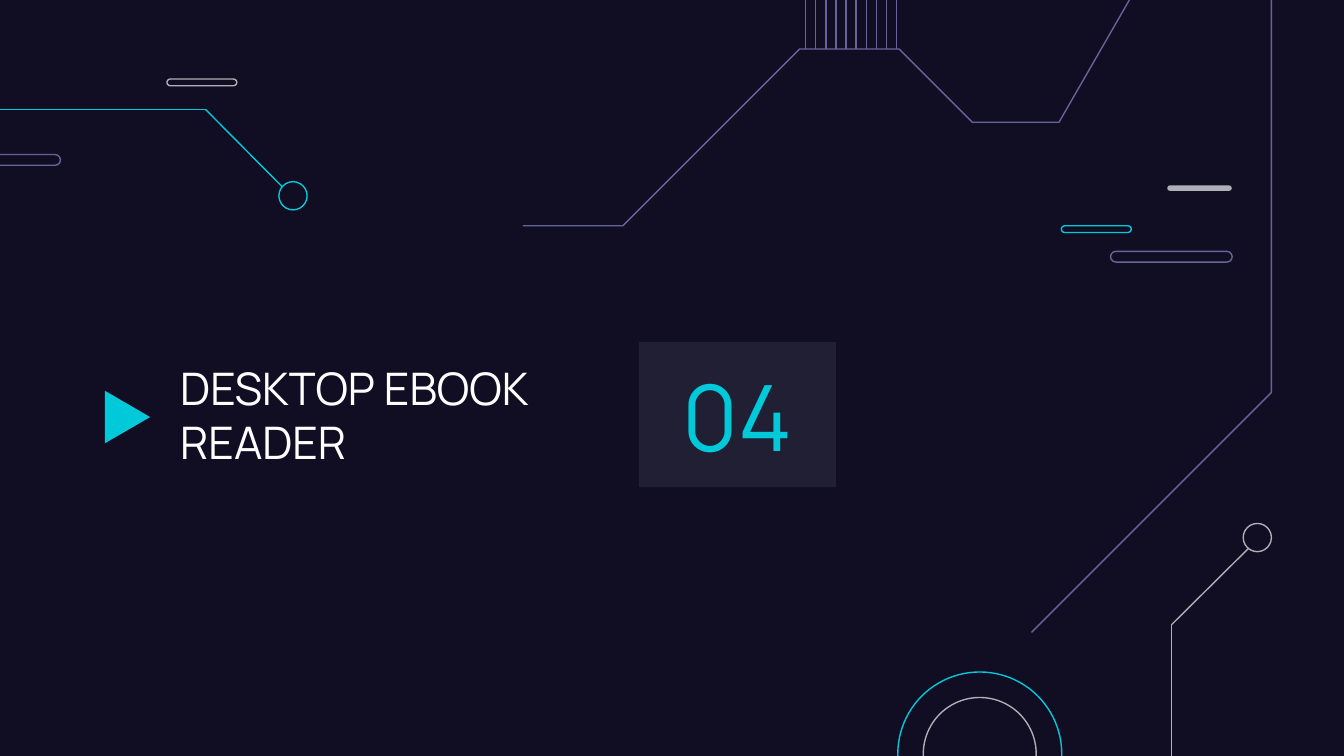
"""Build the section slide: a title, its number and circuit-like decoration."""
from lxml.etree import SubElement
from pptx import Presentation
from pptx.dml.color import RGBColor as Rgb
from pptx.enum.shapes import MSO_CONNECTOR as Link, MSO_SHAPE as Kind
from pptx.enum.text import MSO_ANCHOR as Anchor, PP_ALIGN as Align
from pptx.oxml.ns import qn
from pptx.util import Inches, Pt

HUE = {"night": "110E24", "violet": "69639C", "cyan": "00CADA",
       "grey": "AFAFB6", "white": "FFFFFF"}
HUE = {name: Rgb.from_string(code) for name, code in HUE.items()}
FONT = "Manrope"
WIDE = Inches(10)
HIGH = WIDE * 9 // 16
COL = WIDE / 100

deck = Presentation()
deck.slide_width, deck.slide_height = WIDE, HIGH
slide = deck.slides.add_slide(deck.slide_layouts[6])
slide.background.fill.solid()
slide.background.fill.fore_color.rgb = HUE["night"]
shapes = slide.shapes


def grid(*cells):
    return [round(cell * COL) for cell in cells]


def paint(shape, line=None, fill=None):
    shape.shadow.inherit = False
    if fill:
        shape.fill.solid()
        shape.fill.fore_color.rgb = HUE[fill]
    else:
        shape.fill.background()
    if line:
        shape.line.color.rgb = HUE[line]
        shape.line.width = Pt(0.75)
    else:
        shape.line.fill.background()


marks = [59.95 + 6.75 * i / 9 for i in range(10)]
ticks = [(x, 3.64, x, -38.6, "violet") for x in marks]
wires = [(87.15, 46.5, 87.15, 75.7, "grey"), (87.15, 46.5, 92.9, 40.8, "grey"),
         (15.3, 8.15, -13.9, 8.15, "cyan"), (15.3, 8.15, 21, 13.9, "cyan")]
for *ends, hue in ticks + wires:
    wire = shapes.add_connector(Link.STRAIGHT, *grid(*ends))
    wire.line.color.rgb = HUE[hue]
    wire.line.width = Pt(0.75)
    SubElement(wire._element.spPr, qn("a:effectLst"))

tracks = [
    [(76.75, 47.05), (94.6, 29.2), (94.6, -17.7)],
    [(38.9, 16.8), (46.35, 16.8), (59.5, 3.65), (66.9, 3.65), (72.35, 9.1),
     (78.8, 9.1), (86.8, -4.8), (104.6, -4.8)],
]
for first, *rest in tracks:
    pen = shapes.build_freeform(*grid(*first))
    pen.add_line_segments([grid(*spot) for spot in rest], close=False)
    paint(pen.convert_to_shape(), "violet")

rings = [(72.9, 56.1, 12.2, "cyan"), (72.9, 56.1, 8.4, "grey"),
         (93.55, 40, 2.1, "grey"), (21.8, 14.57, 2.1, "cyan")]
for x, y, size, hue in rings:
    box = grid(x - size / 2, y - size / 2, size, size)
    paint(shapes.add_shape(Kind.OVAL, *box), hue)

pills = [(12.42, 5.88, 5.2, 0.5, "grey", None), (-4.5, 11.5, 9, 0.8, "violet", None),
         (86.85, 13.8, 4.8, 0.4, None, "grey"), (78.97, 16.8, 5.2, 0.5, "cyan", None),
         (82.63, 18.7, 9.05, 0.8, "violet", None)]
for *box, line, fill in pills:
    pill = shapes.add_shape(Kind.ROUNDED_RECTANGLE, *grid(*box))
    pill.adjustments[0] = 0.5
    paint(pill, line, fill)

arrow = shapes.add_shape(Kind.FLOWCHART_MERGE, *grid(7.54, 29.35, 3.9, 3.36))
arrow.rotation = 270
paint(arrow, fill="cyan")

title = shapes.add_textbox(*grid(12.43, 25.45, 40, 10.8))
panel = shapes.add_shape(Kind.RECTANGLE, *grid(47.53, 25.45, 14.67, 10.8))
paint(panel, fill="white")
tint = panel._element.spPr.find(qn("a:solidFill"))[0]
SubElement(tint, qn("a:alpha"), val="7000")

labels = [(title, "DESKTOP EBOOK READER", 24, "white", Align.LEFT),
          (panel, "04", 49, "cyan", Align.CENTER)]
for shape, text, size, hue, align in labels:
    frame = shape.text_frame
    frame.text = text
    frame.word_wrap = True
    frame.vertical_anchor = Anchor.MIDDLE
    frame.margin_left = frame.margin_right = Inches(0.1)
    frame.margin_top = frame.margin_bottom = Inches(0.1)
    para = frame.paragraphs[0]
    para.alignment = align
    font = para.runs[0].font
    font.name, font.size = FONT, Pt(size)
    font.color.rgb = HUE[hue]

deck.save("out.pptx")
